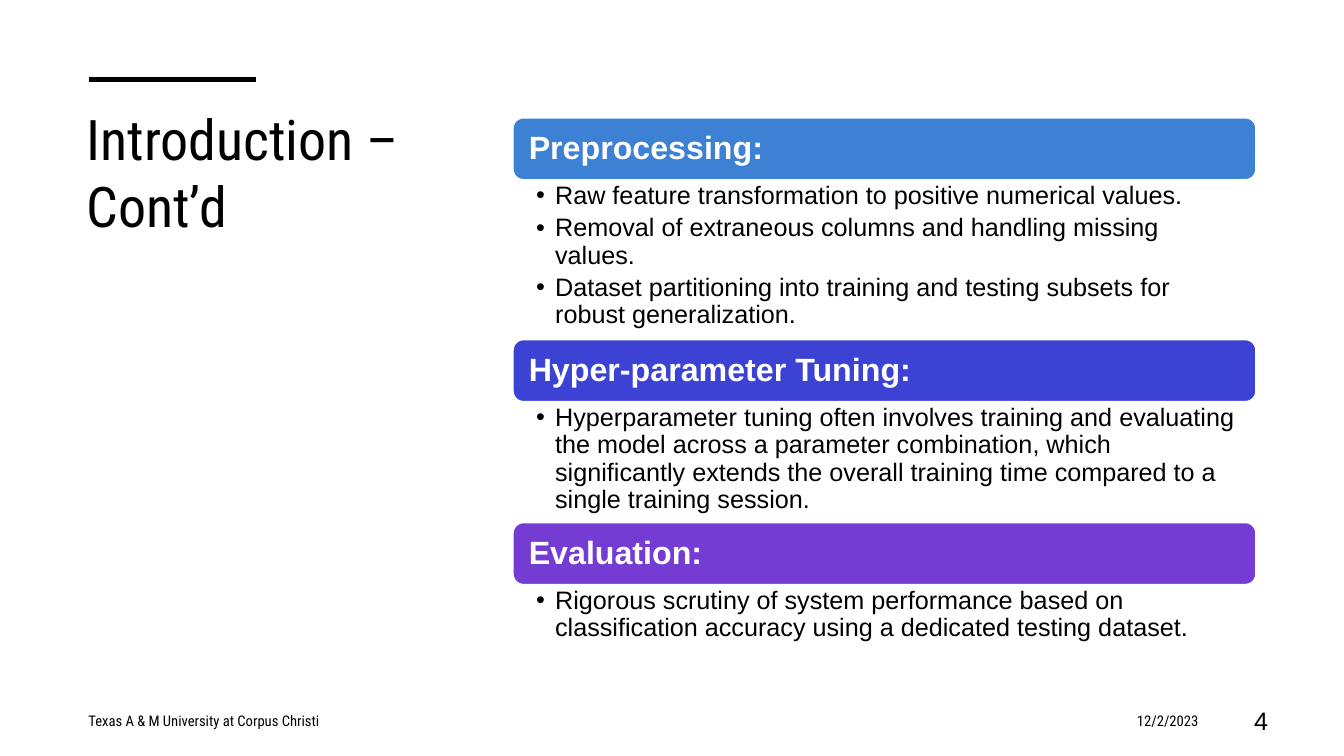
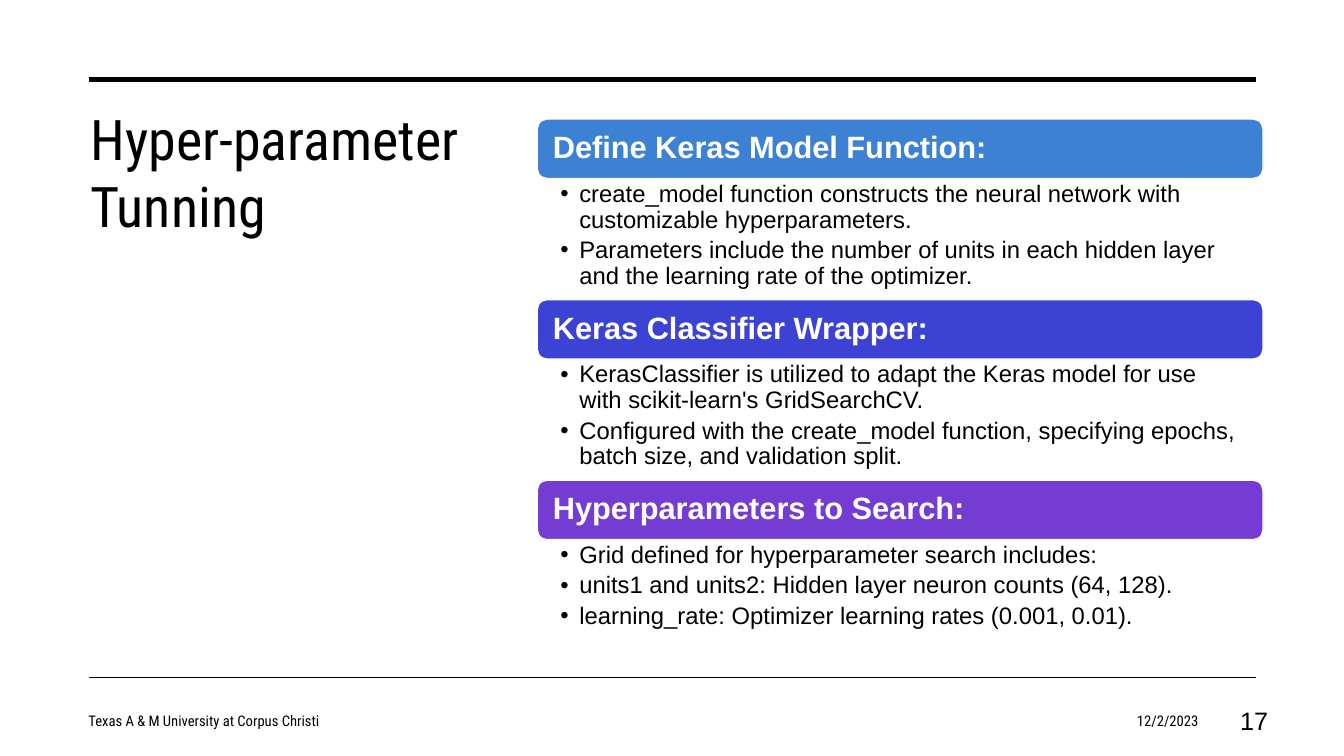
from lxml.etree import SubElement as Sub
from pptx import Presentation
from pptx.dml.color import RGBColor
from pptx.enum.shapes import MSO_CONNECTOR as Link, MSO_SHAPE as Form
from pptx.enum.text import MSO_ANCHOR as Anchor, MSO_AUTO_SIZE as Fit, PP_ALIGN as Align
from pptx.oxml.ns import qn
from pptx.util import Cm, Pt

BLACK, WHITE = "000000", "FFFFFF"
HUES = ("3C81D4", "3C42D4", "753CD4")
HEAD, BODY = "Roboto Condensed", "Arial"
LEFT, RIGHT = 2.24, 31.65
COMPARE = 4  # layout with a title and several body placeholders

PAGES = [
    dict(
        title="Introduction – Cont’d", spot=(1.93, 2.51, 8.76, 11.05),
        rules=[(2.01, 6.45, 3.5)], num="4",
        stack=dict(left=12.93, top=2.97, wide=18.72, bar=1.56, big=23, small=18, parts=[
            ("Preprocessing:", 4.03, [
                "Raw feature transformation to positive numerical values.",
                "Removal of extraneous columns and handling missing values.",
                "Dataset partitioning into training and testing subsets for "
                "robust generalization."]),
            ("Hyper-parameter Tuning:", 3.05, [
                "Hyperparameter tuning often involves training and evaluating "
                "the model across a parameter combination, which significantly "
                "extends the overall training time compared to a single "
                "training session."]),
            ("Evaluation:", 1.57, [
                "Rigorous scrutiny of system performance based on "
                "classification accuracy using a dedicated testing dataset."]),
        ])),
    dict(
        title="Hyper-parameter Tunning", spot=(2.03, 2.51, 10.16, 12.24),
        rules=[(2.01, RIGHT, 3.5), (17.07, RIGHT, 1)], num="17",
        stack=dict(left=13.54, top=3, wide=18.29, bar=1.5, big=22, small=17, parts=[
            ("Define Keras Model Function:", 3.05, [
                "create_model function constructs the neural network with "
                "customizable hyperparameters.",
                "Parameters include the number of units in each hidden layer "
                "and the learning rate of the optimizer."]),
            ("Keras Classifier Wrapper:", 3.05, [
                "KerasClassifier is utilized to adapt the Keras model for use "
                "with scikit-learn's GridSearchCV.",
                "Configured with the create_model function, specifying epochs, "
                "batch size, and validation split."]),
            ("Hyperparameters to Search:", 2.46, [
                "Grid defined for hyperparameter search includes:",
                "units1 and units2: Hidden layer neuron counts (64, 128).",
                "learning_rate: Optimizer learning rates (0.001, 0.01)."]),
        ])),
]


def paint(text):
    return RGBColor.from_string(text)


def put(item, **vals):
    for key, val in vals.items():
        setattr(item, key, val)


def place(shape, *box):
    put(shape, **dict(zip(("left", "top", "width", "height"), map(Cm, box))))


class Deck:
    def __init__(self):
        self.prs = Presentation()
        put(self.prs, slide_width=Cm(33.87), slide_height=Cm(19.05))

    def page(self):
        self.slide = self.prs.slides.add_slide(self.prs.slide_layouts[COMPARE])
        self.shapes = self.slide.shapes

    def label(self, shape, lines, size, font=BODY, color=BLACK, bold=False,
              align=Align.LEFT, anchor=Anchor.TOP, space=1.0, after=0,
              pads=(0.25, 0.13, 0.25, 0.13)):
        """Fill a shape with one paragraph a line; pads run left, top, right, bottom."""
        frame = shape.text_frame
        put(frame, text="\n".join(lines), word_wrap=True, auto_size=Fit.NONE,
            vertical_anchor=anchor)
        sides = ("margin_left", "margin_top", "margin_right", "margin_bottom")
        put(frame, **dict(zip(sides, map(Cm, pads))))
        for para in frame.paragraphs:
            put(para, alignment=align, line_spacing=space,
                space_before=Pt(0), space_after=Pt(after))
            for run in para.runs:
                put(run.font, name=font, size=Pt(size), bold=bold)
                run.font.color.rgb = paint(color)

    def title(self, text, spot):
        shape = self.shapes.title
        place(shape, *spot)
        self.label(shape, [text], 40, HEAD)

    def rule(self, y, end, width):
        line = self.shapes.add_connector(
            Link.STRAIGHT, Cm(LEFT), Cm(y), Cm(end), Cm(y))
        line.line.color.rgb = paint(BLACK)
        line.line.width = Pt(width)
        Sub(line._element.spPr, qn("a:effectLst"))

    def note(self, text, x, wide, size=10.5, font=HEAD, align=Align.RIGHT):
        box = self.shapes.add_textbox(Cm(x), Cm(17.65), Cm(wide), Cm(1.02))
        self.label(box, [text], size, font, align=align, anchor=Anchor.MIDDLE)

    def foot(self, num):
        self.note("Texas A & M University at Corpus Christi", 1.98, 12.6,
                  align=Align.LEFT)
        self.note("12/2/2023", 23.24, 7.21)
        self.note(num, 30.33, 1.88, 18, BODY)

    def bar(self, text, hue, size, *box):
        shape = self.shapes.add_shape(Form.ROUNDED_RECTANGLE, *map(Cm, box))
        shape.shadow.inherit = False
        shape.fill.solid()
        shape.fill.fore_color.rgb = paint(hue)
        shape.line.color.rgb = paint(WHITE)
        shape.line.width = Pt(1)
        self.label(shape, [text], size, color=WHITE, bold=True, space=0.9,
                   anchor=Anchor.MIDDLE, pads=(0.32, 0.1, 0.32, 0.1))

    def bullets(self, idx, lines, size, *box):
        shape = self.slide.placeholders[idx]
        place(shape, *box)
        self.label(shape, lines, size, space=0.9, after=size / 5,
                   pads=(0.58, 0.08, 0.45, 0.08))
        for para in shape.text_frame.paragraphs:
            props = para._p.get_or_add_pPr()
            props.set("marL", str(Cm(0.48)))
            props.set("indent", str(-Cm(0.48)))
            Sub(props, qn("a:buFont"), typeface=BODY)
            Sub(props, qn("a:buChar"), char="•")

    def stack(self, left, top, wide, bar, big, small, parts):
        """Set headed lists one below the other, each with its own height."""
        for idx, (head, high, lines) in enumerate(parts, 1):
            self.bar(head, HUES[idx - 1], big, left, top, wide, bar)
            self.bullets(idx, lines, small, left, top + bar, wide, high)
            top += bar + high

    def tidy(self):
        """Remove the placeholders left empty."""
        for shape in list(self.slide.placeholders):
            if not shape.text_frame.text:
                shape._element.getparent().remove(shape._element)


def main():
    deck = Deck()
    for page in PAGES:
        deck.page()
        deck.title(page["title"], page["spot"])
        for rule in page["rules"]:
            deck.rule(*rule)
        deck.foot(page["num"])
        deck.stack(**page["stack"])
        deck.tidy()
    deck.prs.save("out.pptx")


if __name__ == "__main__":
    main()
